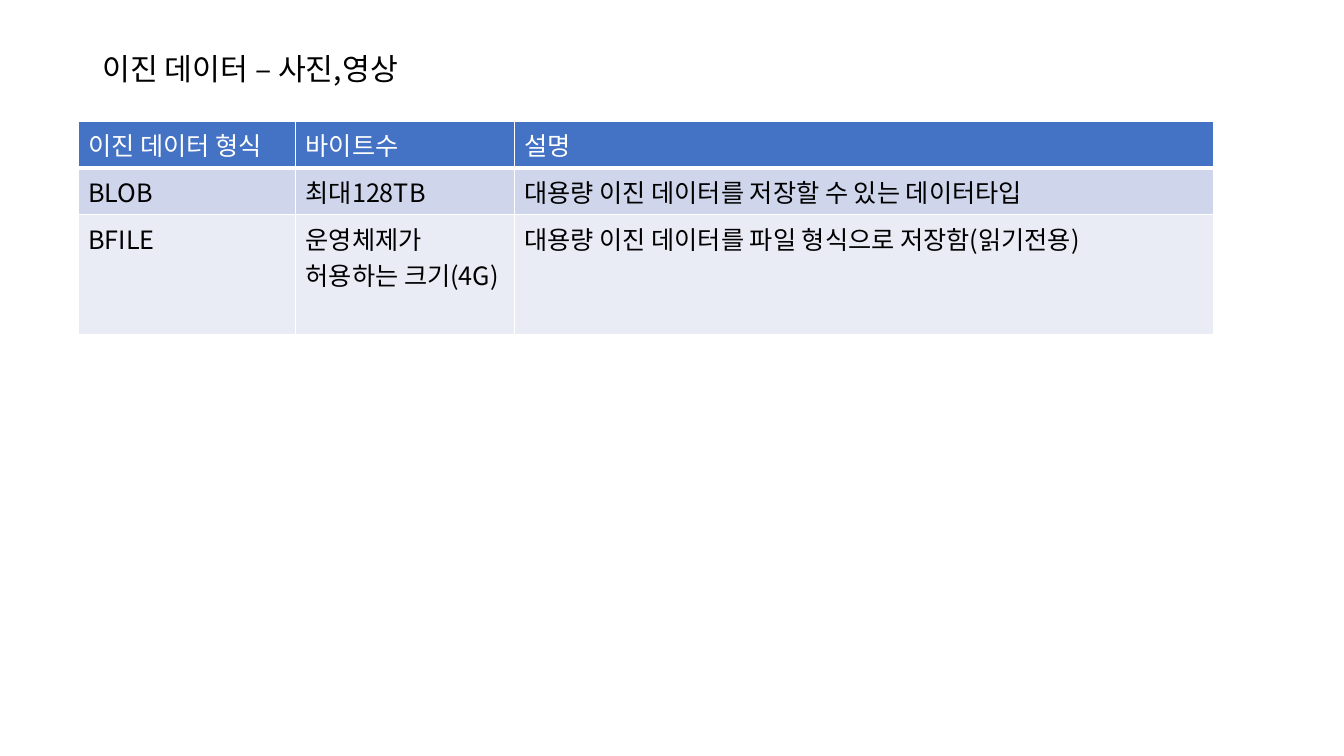
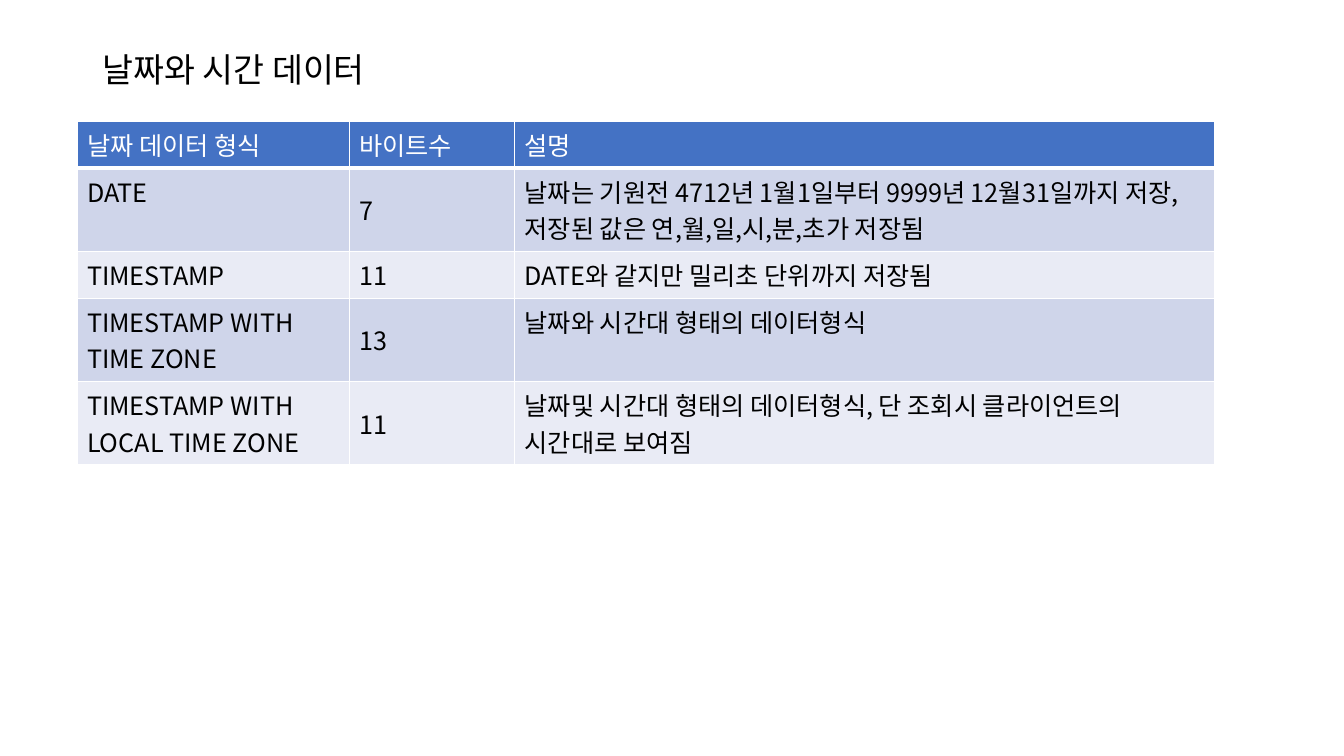
from lxml import etree
from pptx import Presentation
from pptx import util as u
from pptx.dml.color import RGBColor
from pptx.enum import text
from pptx.oxml.ns import qn

FONT = "Noto Sans CJK KR"
COLORS = {"header": "4472C4", "odd": "CFD5EA", "even": "E9EBF5",
          "light": "FFFFFF", "dark": "000000"}
MIDDLE = text.MSO_ANCHOR.MIDDLE
TOP = text.MSO_ANCHOR.TOP

TOPICS = [
    {"title": "이진 데이터 – 사진,영상", "size": 21.6, "left": 1.97,
     "columns": [5.48, 5.51, 17.63], "heights": [1.14, 1.18, 3], "byte_anchor": TOP,
     "rows": [
         ("이진 데이터 형식", "바이트수", "설명"),
         ("BLOB", "최대128TB", "대용량 이진 데이터를 저장할 수 있는 데이터타입"),
         ("BFILE", "운영체제가 허용하는 크기(4G)",
          "대용량 이진 데이터를 파일 형식으로 저장함(읽기전용)")]},
    {"title": "날짜와 시간 데이터", "size": 24, "left": 1.94,
     "columns": [6.86, 4.17, 17.63], "heights": [1.14, 2.1, 1.18, 2.1, 2.1],
     "byte_anchor": MIDDLE,
     "rows": [
         ("날짜 데이터 형식", "바이트수", "설명"),
         ("DATE", "7", "날짜는 기원전 4712년 1월1일부터 9999년 12월31일까지 저장, "
          "저장된 값은 연,월,일,시,분,초가 저장됨"),
         ("TIMESTAMP", "11", "DATE와 같지만 밀리초 단위까지 저장됨"),
         ("TIMESTAMP WITH TIME ZONE", "13", "날짜와 시간대 형태의 데이터형식"),
         ("TIMESTAMP WITH LOCAL TIME ZONE", "11",
          "날짜및 시간대 형태의 데이터형식, 단 조회시 클라이언트의 시간대로 보여짐")]},
]


def write(frame, wording, size, color):
    frame.text = wording
    run = frame.paragraphs[0].runs[0]
    for name, value in {"name": FONT, "size": u.Pt(size), "bold": False}.items():
        setattr(run.font, name, value)
    run.font.color.rgb = RGBColor.from_string(COLORS[color])
    etree.SubElement(run.font._element, qn("a:ea"), typeface=FONT)


def add_borders(cell, bottom):
    properties = cell._tc.get_or_add_tcPr()
    for side, points in {"L": 1, "R": 1, "T": 1, "B": bottom}.items():
        line = etree.SubElement(properties, qn(f"a:ln{side}"), w=str(u.Pt(points)))
        fill = etree.SubElement(line, qn("a:solidFill"))
        etree.SubElement(fill, qn("a:srgbClr"), val=COLORS["light"])


deck = Presentation()
deck.slide_width, deck.slide_height = u.Cm(33.87), u.Cm(19.05)

for topic in TOPICS:
    slide = deck.slides.add_slide(deck.slide_layouts[5])
    title = slide.shapes.title
    for name, value in {"left": 2.33, "top": 1.01, "width": 9.63, "height": 1.57}.items():
        setattr(title, name, u.Cm(value))
    write(title.text_frame, topic["title"], topic["size"], "dark")
    for name, value in {"vertical_anchor": MIDDLE, "word_wrap": True,
                        "auto_size": text.MSO_AUTO_SIZE.NONE}.items():
        setattr(title.text_frame, name, value)
    heading = title.text_frame.paragraphs[0]
    heading.alignment = text.PP_ALIGN.LEFT
    heading.line_spacing = 0.9

    rows, columns, heights = topic["rows"], topic["columns"], topic["heights"]
    table = slide.shapes.add_table(
        len(rows), len(columns), u.Cm(topic["left"]), u.Cm(3.06),
        u.Cm(sum(columns)), u.Cm(sum(heights))).table
    for column, width in zip(table.columns, columns):
        column.width = u.Cm(width)
    for r, (entries, height) in enumerate(zip(rows, heights)):
        table.rows[r].height = u.Cm(height)
        band = "header" if r == 0 else "odd" if r % 2 else "even"
        for c, entry in enumerate(entries):
            cell = table.cell(r, c)
            write(cell.text_frame, entry, 18, "dark" if r else "light")
            cell.vertical_anchor = topic["byte_anchor"] if c == 1 else TOP
            add_borders(cell, 1 if r else 3)
            cell.fill.solid()
            cell.fill.fore_color.rgb = RGBColor.from_string(COLORS[band])

deck.save("out.pptx")
